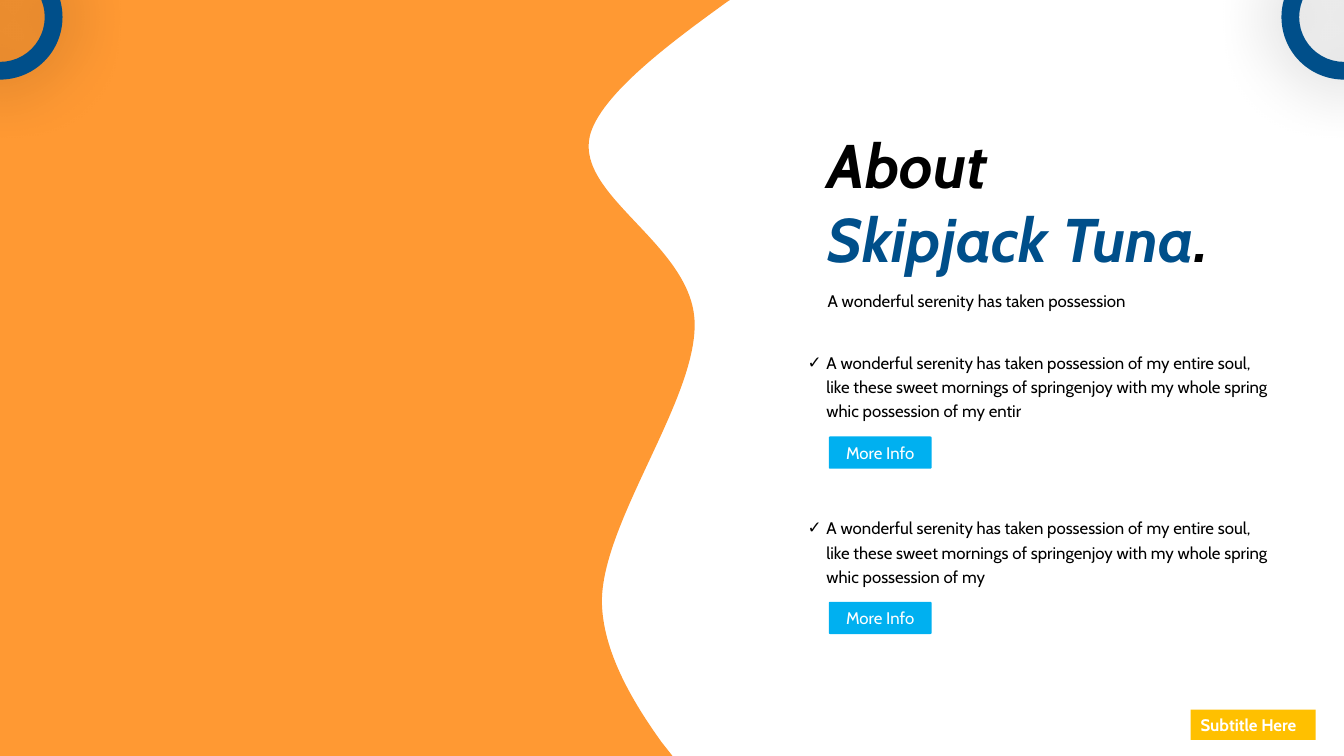
from lxml.etree import SubElement
from pptx import Presentation
from pptx.dml.color import RGBColor
from pptx.enum.shapes import MSO_SHAPE as SHAPE
from pptx.enum.text import MSO_ANCHOR as ANCHOR, MSO_AUTO_SIZE as FIT, PP_ALIGN as ALIGN
from pptx.oxml.ns import qn
from pptx.util import Inches, Pt

COLORS = {"orange": "FF9933", "navy": "004F8A", "sky": "00B0F0",
          "gold": "FFC000", "black": "000000", "white": "FFFFFF"}
FONT = "Cabin"
UNITS = 1000
WAVE_START = (7.21, 0.02)
WAVE = [((6.67, 0.41), (5.95, 0.94), (5.85, 1.35)),
        ((5.71, 1.95), (6.87, 2.43), (6.89, 3.2)),
        ((6.91, 3.97), (5.96, 5.19), (5.97, 5.98)),
        ((5.98, 6.47), (6.28, 6.97), (6.56, 7.36))]
SERENITY = ("A wonderful serenity has taken possession of my entire soul, like these "
            "sweet mornings of springenjoy with my whole spring whic possession of my")


def rgb(name):
    """Return the named colour."""
    return RGBColor.from_string(COLORS[name])


def style(p, size=12, color="black", bold=False, italic=False):
    """Format every run of a paragraph."""
    for r in p.runs:
        r.font.name, r.font.size = FONT, Pt(size)
        r.font.bold, r.font.italic = bold, italic
        r.font.color.rgb = rgb(color)


def place(sp, x, y, w, h):
    """Move a shape to a box in inches and fit its text frame."""
    sp.left, sp.top, sp.width, sp.height = map(Inches, (x, y, w, h))
    tf = sp.text_frame
    tf.word_wrap, tf.auto_size, tf.vertical_anchor = True, FIT.NONE, ANCHOR.TOP
    return tf


def paint(sp, color):
    """Give a shape a plain fill without line or shadow."""
    sp.shadow.inherit = False
    sp.fill.solid()
    sp.fill.fore_color.rgb = rgb(color)
    sp.line.fill.background()


def add_filled(s, kind, x, y, w, h, color):
    """Add a preset shape with a plain fill."""
    sp = s.shapes.add_shape(kind, *map(Inches, (x, y, w, h)))
    paint(sp, color)
    return sp


def add_wave(s, x, y, h):
    """Fill the left of the slide up to a wavy edge."""
    corners = [(7.24, 0), WAVE_START, *(curve[-1] for curve in WAVE), (6.67, h), (0, h)]
    fb = s.shapes.build_freeform(0, 0, scale=Inches(1) / UNITS)
    fb.add_line_segments([(px * UNITS, py * UNITS) for px, py in corners])
    sp = fb.convert_to_shape(Inches(x), Inches(y))
    paint(sp, "orange")
    lines = list(sp._element.iter(qn("a:lnTo")))[2:]
    for line, curve in zip(lines, WAVE):
        bend = SubElement(line.getparent(), qn("a:cubicBezTo"))
        for px, py in curve:
            SubElement(bend, qn("a:pt"), x=str(round(px * UNITS)), y=str(round(py * UNITS)))
        line.getparent().replace(line, bend)


def add_heading(s, x, y, w):
    """Fill the title and the line under it."""
    tf = place(s.shapes.title, x, y, w, 1.58)
    tf.text = "About\nSkipjack Tuna"
    tf.paragraphs[1].add_run().text = "."
    for p, color in zip(tf.paragraphs, ("black", "navy")):
        p.alignment = ALIGN.LEFT
        style(p, 44, color, True, True)
    tf.paragraphs[1].runs[1].font.color.rgb = rgb("black")
    tf = place(s.shapes.add_textbox(0, 0, 0, 0), x, y + 1.53, 4.42, 0.37)
    tf.text = "A wonderful serenity has taken possession"
    tf.paragraphs[0].line_spacing = 1.5
    style(tf.paragraphs[0])


def add_point(s, body, text, x, y, w):
    """Fill a checked point and add its button."""
    tf = place(body, x, y, w, 0.81)
    tf.text = text
    p = tf.paragraphs[0]
    pPr = p._p.get_or_add_pPr()
    pPr.set("marL", str(Pt(13.5)))
    pPr.set("indent", str(-Pt(13.5)))
    SubElement(pPr, qn("a:buChar"), char="✓")
    p.line_spacing, p.space_before = 1.2, Pt(0)
    style(p)
    sp = add_filled(s, SHAPE.ROUNDED_RECTANGLE, x + 0.31, y + 0.92, 1.02, 0.32, "sky")
    sp.adjustments[0] = 0.042
    tf = sp.text_frame
    tf.text = "More Info"
    tf.vertical_anchor = ANCHOR.MIDDLE
    tf.paragraphs[0].alignment = ALIGN.CENTER
    style(tf.paragraphs[0], color="white")


def add_tag(s, x, y, w, h):
    """Add the subtitle tag."""
    sp = add_filled(s, SHAPE.RECTANGLE, x, y, w, h, "gold")
    tf = sp.text_frame
    tf.text = "Subtitle Here"
    tf.word_wrap, tf.vertical_anchor = False, ANCHOR.TOP
    tf.paragraphs[0].alignment = ALIGN.LEFT
    style(tf.paragraphs[0], color="white", bold=True)


def add_ring(s, x, y, d):
    """Add a ring with a soft shadow."""
    sp = add_filled(s, SHAPE.DONUT, x, y, d, d, "navy")
    sp.adjustments[0] = 0.142
    effects = sp._element.spPr.find(qn("a:effectLst"))
    shadow = SubElement(effects, qn("a:outerShdw"), blurRad=str(Pt(49)),
                        dist="0", dir="0", algn="ctr", rotWithShape="0")
    clr = SubElement(shadow, qn("a:srgbClr"), val=COLORS["black"])
    SubElement(clr, qn("a:alpha"), val="33000")


def main():
    """Build and save the slide."""
    prs = Presentation()
    prs.slide_width, prs.slide_height = Inches(13.33), Inches(7.5)
    s = prs.slides.add_slide(prs.slide_layouts[3])
    add_wave(s, 0, 0, 7.5)
    add_heading(s, 8.11, 1.21, 5.22)
    bodies = (s.placeholders[1], s.placeholders[2])
    for i, (body, ending) in enumerate(zip(bodies, (" entir", ""))):
        add_point(s, body, SERENITY + ending, 7.91, 3.41 + 1.64 * i, 4.82)
    add_tag(s, 11.81, 7.04, 1.24, 0.3)
    for x in (-0.62, 12.71):
        add_ring(s, x, -0.45, 1.24)
    prs.save("out.pptx")


if __name__ == "__main__":
    main()
